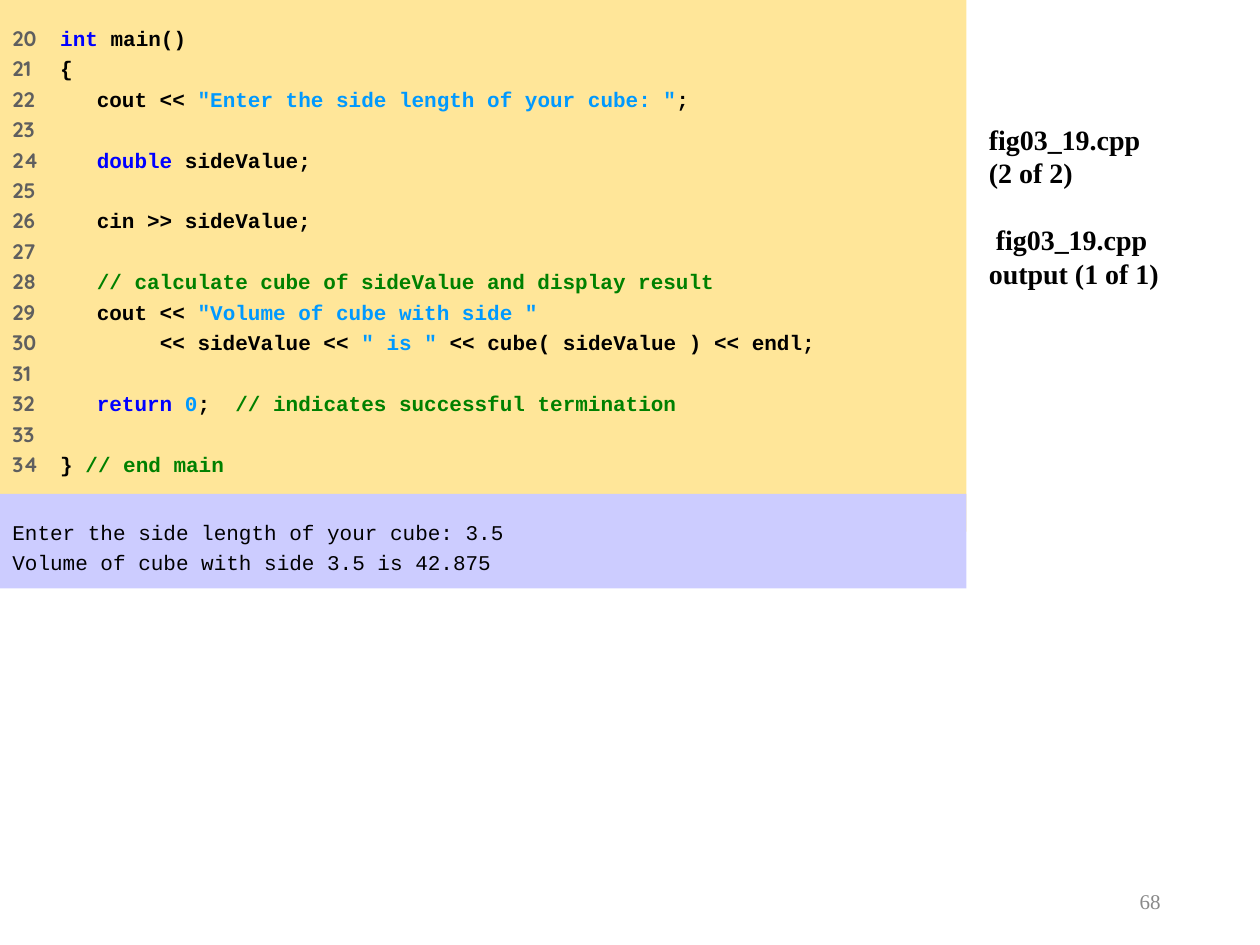
from lxml.etree import SubElement
from pptx import Presentation
from pptx.dml.color import RGBColor
from pptx.enum.shapes import MSO_SHAPE
from pptx.enum.text import MSO_ANCHOR, PP_ALIGN
from pptx.oxml.ns import qn
from pptx.util import Inches, Pt

W, H = 10, 7.5
SERIF, MONO, NUMERAL = "Times New Roman", "Courier New", "Quicksand"
BLACK, GRAY = "000000", "5F5F5F"
KEYWORD, LITERAL, COMMENT = "0000FF", "0099FF", "008000"
FIRST_LINE = 20
TAB_STOPS = (0.38, 0.67, 1.17, 1.77)

CODE = [
    (1, [("int", KEYWORD), (" main()", BLACK)]),
    (1, [("{", BLACK)]),
    (2, [("cout << ", BLACK), ('"Enter the side length of your cube: "', LITERAL),
         (";", BLACK)]),
    (0, []),
    (2, [("double", KEYWORD), (" sideValue;", BLACK)]),
    (0, []),
    (2, [("cin >> sideValue;", BLACK)]),
    (0, []),
    (2, [("// calculate cube of sideValue and display result", COMMENT)]),
    (2, [("cout << ", BLACK), ('"Volume of cube with side "', LITERAL)]),
    (3, [("<< sideValue <<", BLACK), (' " is "', LITERAL),
         (" << cube( sideValue ) << endl;", BLACK)]),
    (0, []),
    (2, [("return ", KEYWORD), ("0", LITERAL), (";\t", BLACK),
         ("// indicates successful termination", COMMENT)]),
    (0, []),
    (1, [("} ", BLACK), ("// end main", COMMENT)]),
]
OUTPUT = ["Enter the side length of your cube: 3.5",
          "Volume of cube with side 3.5 is 42.875"]
CAPTIONS = ["fig03_19.cpp\v(2 of 2)", " fig03_19.cpp\voutput (1 of 1)"]
PAGE = "68"


def color(value):
    return RGBColor.from_string(value)


def style(r, font, size, value, bold=False):
    r.font.name, r.font.size, r.font.bold = font, Pt(size), bold
    r.font.color.rgb = color(value)


def set_frame(tf, inset):
    tf.word_wrap = True
    tf.margin_left = tf.margin_right = Inches(0.1)
    tf.margin_top = tf.margin_bottom = Inches(inset)
    tf.vertical_anchor = MSO_ANCHOR.TOP
    return tf


def add_panel(s, left, top, width, height, fill):
    sp = s.shapes.add_shape(MSO_SHAPE.RECTANGLE, *map(Inches, (left, top, width, height)))
    sp.shadow.inherit = False
    sp.fill.solid()
    sp.fill.fore_color.rgb = color(fill)
    sp.line.fill.background()
    return set_frame(sp.text_frame, 0.2)


def add_label(s, left, top, width, height):
    sp = s.shapes.add_textbox(*map(Inches, (left, top, width, height)))
    return set_frame(sp.text_frame, 0.05)


def add_line(tf, i, size, before):
    p = tf.add_paragraph() if i else tf.paragraphs[0]
    p.alignment = PP_ALIGN.LEFT
    p.line_spacing = Pt(1.2 * size)
    p.space_before = Pt(before if i else 0)
    return p


def add_tabs(p):
    tabs = SubElement(p._p.get_or_add_pPr(), qn("a:tabLst"))
    for stop in TAB_STOPS:
        SubElement(tabs, qn("a:tab"), pos=str(Inches(stop)), algn="l")


def add_run(p, text, font, value, bold):
    r = p.add_run()
    r.text = text
    style(r, font, 12, value, bold)


def main():
    prs = Presentation()
    prs.slide_width, prs.slide_height = Inches(W), Inches(H)
    s = prs.slides.add_slide(prs.slide_layouts[6])

    tf = add_label(s, 7.06, 6.95, 2.25, 0.4)
    tf.vertical_anchor = MSO_ANCHOR.MIDDLE
    tf.text = PAGE
    p = tf.paragraphs[0]
    p.alignment = PP_ALIGN.RIGHT
    style(p.runs[0], SERIF, 12, "898989")

    tf = add_label(s, 7.75, 0.92, 2.25, 5.25)
    for i, caption in enumerate(CAPTIONS):
        p = add_line(tf, i, 16, 19.2)
        p.text = caption
        for r in p.runs:
            style(r, SERIF, 16, BLACK, True)

    tf = add_panel(s, 0, 0, 7.67, 4.22, "FFE699")
    for i, (level, parts) in enumerate(CODE):
        p = add_line(tf, i, 12, 3)
        add_tabs(p)
        add_run(p, str(FIRST_LINE + i) + "\t" * level, NUMERAL, GRAY, True)
        for text, value in parts:
            add_run(p, text, MONO, value, True)

    tf = add_panel(s, 0, 3.92, 7.67, 0.75, "CCCCFF")
    for i, text in enumerate(OUTPUT):
        add_run(add_line(tf, i, 12, 3), text, MONO, BLACK, False)

    prs.save("out.pptx")


if __name__ == "__main__":
    main()
